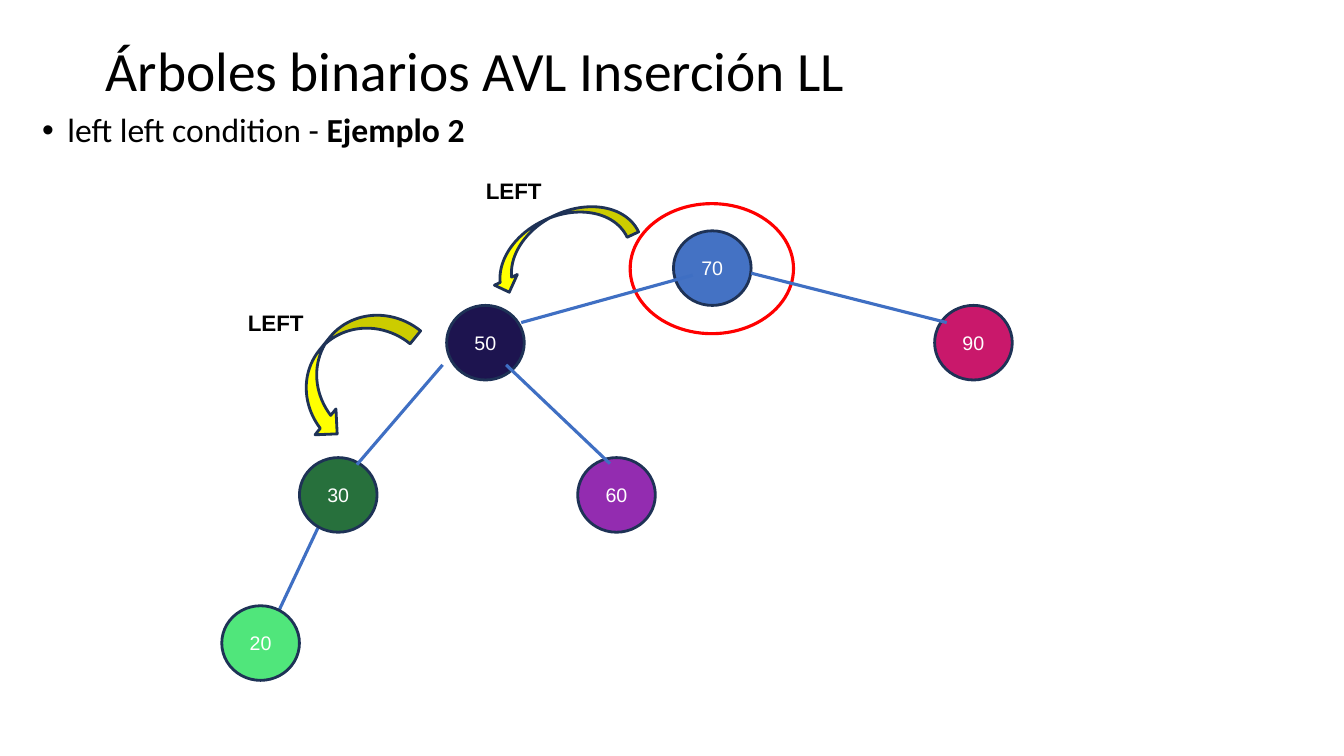
from pptx import Presentation, util as u
from pptx.dml.color import RGBColor
from pptx.enum import shapes, text
from pptx.oxml.ns import qn
from lxml import etree

TITLE = ("Árboles binarios AVL Inserción LL", (95, 42, 1147, 62))
LEAD = (("left left condition - ", False), ("Ejemplo 2", True))
LEAD_BOX = (32, 108, 1158, 61)
RING = (625, 202, 162, 129)
NODE = (77, 74)
ROWS = (229, 303, 454, 601)
NODES = [
    ("70", 668, 0, "4472C4"),
    ("90", 927, 1, "C9186B"),
    ("60", 573, 2, "932CB0"),
    ("30", 297, 2, "27703C"),
    ("50", 443, 1, "1D144F"),
    ("20", 220, 3, "50E67B"),
]
BACK_EDGES = [(319, 516, 269, 622)]
EDGES = [
    (687, 273, 517, 320),
    (439, 362, 354, 461),
    (502, 362, 605, 460),
    (745, 271, 939, 320),
]
ARROWS = [((528, 163, 50, 154), 65), ((312, 291, 66, 148), 39)]
LABELS = [("LEFT", (236, 302, 120, 37)), ("LEFT", (472, 171, 120, 37))]
THEME = {
    "head": "Calibri", "body": "Arial",
    "ink": "000000", "pale": "FFFFFF", "rim": "1E3256",
    "edge": "3F6FC3", "ring": "FF0000", "arrow": "FFFF00",
    "title": 39.6, "lead": 24, "node": 14, "label": 16,
    "thin": 2, "thick": 2.25,
}
PX = 9144

deck = Presentation()
deck.slide_width, deck.slide_height = 1333 * PX, 750 * PX
slide = deck.slides.add_slide(deck.slide_layouts[6])
KIND = shapes.MSO_SHAPE


def scale(box):
    return [n * PX for n in box]


def tint(name):
    return RGBColor.from_string(THEME.get(name, name))


def style(run, size, font="body", color="ink", bold=False):
    run.font.size = u.Pt(THEME[size])
    run.font.name = THEME[font]
    run.font.color.rgb = tint(color)
    run.font.bold = bold


def add_box(box):
    frame = slide.shapes.add_textbox(*scale(box)).text_frame
    frame.word_wrap = True
    return frame


def add_form(kind, box, fill, line, width):
    form = slide.shapes.add_shape(kind, *scale(box))
    form.shadow.inherit = False
    if fill:
        form.fill.solid()
        form.fill.fore_color.rgb = tint(fill)
    else:
        form.fill.background()
    form.line.color.rgb = tint(line)
    form.line.width = u.Pt(THEME[width])
    return form


def add_edge(ends):
    edge = slide.shapes.add_connector(shapes.MSO_CONNECTOR.STRAIGHT, *scale(ends))
    edge.line.color.rgb = tint("edge")
    edge.line.width = u.Pt(THEME["thick"])
    etree.SubElement(edge._element.spPr, qn("a:effectLst"))


def add_bullet(para):
    props = para._p.get_or_add_pPr()
    props.set("marL", str(25 * PX))
    props.set("indent", str(-25 * PX))
    etree.SubElement(props, qn("a:buFont")).set("typeface", THEME["body"])
    etree.SubElement(props, qn("a:buChar")).set("char", "•")


def add_node(name, left, row, fill):
    form = add_form(KIND.FLOWCHART_CONNECTOR, (left, ROWS[row], *NODE), fill, "rim", "thin")
    frame = form.text_frame
    frame.text = name
    frame.vertical_anchor = text.MSO_ANCHOR.MIDDLE
    para = frame.paragraphs[0]
    para.alignment = text.PP_ALIGN.CENTER
    style(para.runs[0], "node", color="pale")


add_form(KIND.OVAL, RING, None, "ring", "thick")

words, box = TITLE
frame = add_box(box)
frame.text = words
frame.vertical_anchor = text.MSO_ANCHOR.MIDDLE
frame.paragraphs[0].line_spacing = 0.9
style(frame.paragraphs[0].runs[0], "title", "head")

para = add_box(LEAD_BOX).paragraphs[0]
para.alignment = text.PP_ALIGN.JUSTIFY
para.line_spacing = 0.9
add_bullet(para)
for words, bold in LEAD:
    run = para.add_run()
    run.text = words
    style(run, "lead", "head", bold=bold)

for ends in BACK_EDGES:
    add_edge(ends)
for node in NODES:
    add_node(*node)
for ends in EDGES:
    add_edge(ends)
for box, turn in ARROWS:
    add_form(KIND.CURVED_RIGHT_ARROW, box, "arrow", "rim", "thin").rotation = turn
for words, box in LABELS:
    frame = add_box(box)
    frame.text = words
    frame.auto_size = text.MSO_AUTO_SIZE.SHAPE_TO_FIT_TEXT
    style(frame.paragraphs[0].runs[0], "label", bold=True)

deck.save("out.pptx")
